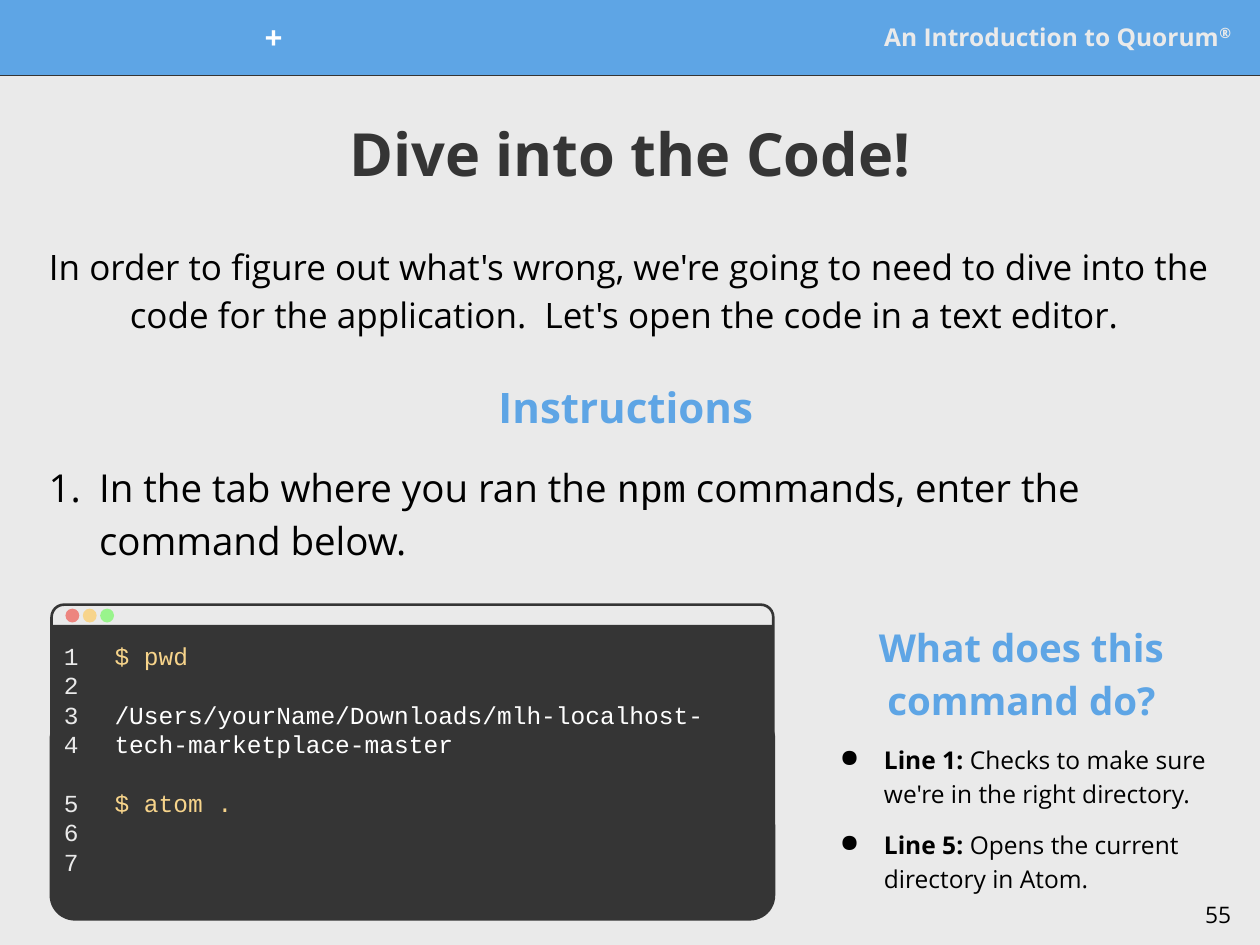
from lxml.etree import SubElement
from pptx import Presentation
from pptx.dml.color import RGBColor as Rgb
from pptx.enum.shapes import MSO_CONNECTOR as Conn, MSO_SHAPE as Form
from pptx.enum.text import MSO_ANCHOR as Anchor, MSO_AUTO_SIZE as Auto, PP_ALIGN as Align
from pptx.oxml.ns import qn
from pptx.util import Cm, Pt

HUES = {
    "page": "EAEAEA", "blue": "5EA5E5", "dark": "353535", "black": "000000",
    "white": "FFFFFF", "red": "ED857F", "gold": "F7D48B", "green": "99F48C",
}
SANS, MONO = "Open Sans", "Courier New"
CODE_GAP = 16.8


def hue(name):
    return Rgb.from_string(HUES[name])


def style(run, size, color, face=SANS, bold=False):
    font = run.font
    font.size, font.name, font.bold = Pt(size), face, bold
    font.color.rgb = hue(color)


def frame(shape, anchor=Anchor.TOP, inset=0.25):
    text = shape.text_frame
    text.word_wrap = True
    text.auto_size = Auto.NONE
    text.vertical_anchor = anchor
    text.margin_left = text.margin_right = Cm(inset)
    text.margin_top = text.margin_bottom = Cm(inset)
    return text


def add_text(slide, box, anchor=Anchor.TOP):
    return frame(slide.shapes.add_textbox(*map(Cm, box)), anchor)


def add_para(text, parts, align=Align.LEFT, lead=1.0, before=0, after=0):
    para = text.paragraphs[0]
    if para.runs:
        para = text.add_paragraph()
    para.alignment, para.line_spacing = align, lead
    para.space_before, para.space_after = Pt(before), Pt(after)
    for words, *look in parts:
        run = para.add_run()
        run.text = words
        style(run, *look)
    return para


def add_mark(para, indent, tag, **attrs):
    props = para._p.get_or_add_pPr()
    props.set("marL", str(Cm(1.27)))
    props.set("indent", str(-Cm(indent)))
    color = SubElement(props, qn("a:buClr"))
    SubElement(color, qn("a:srgbClr")).set("val", HUES["black"])
    SubElement(props, qn(tag), attrs)


def add_form(slide, form, box, fill=None, line=None, width=0.75, curve=None):
    shape = slide.shapes.add_shape(form, *map(Cm, box))
    shape.shadow.inherit = False
    if curve:
        shape.adjustments[0] = curve
    if fill:
        shape.fill.solid()
        shape.fill.fore_color.rgb = hue(fill)
    else:
        shape.fill.background()
    if line:
        shape.line.color.rgb = hue(line)
        shape.line.width = Pt(width)
    else:
        shape.line.fill.background()


def add_band(slide, box):
    x, y, w, h = box
    rule = slide.shapes.add_connector(Conn.STRAIGHT, Cm(x), Cm(y + h), Cm(x + w), Cm(y + h))
    rule.line.color.rgb = hue("dark")
    rule.line.width = Pt(1.5)
    SubElement(rule._element.spPr, qn("a:effectLst"))
    add_form(slide, Form.RECTANGLE, box, "blue", "blue")
    name = add_text(slide, (x + w - 8.66, y + 0.25, 8.33, 0.97), Anchor.MIDDLE)
    look = 14, "page", SANS, True
    para = add_para(name, [("An Introduction to Quorum", *look), ("®", *look)], Align.RIGHT)
    para.runs[1].font._element.set("baseline", "30000")
    plus = add_text(slide, (x + 5.03, y + 0.25, 0.97, 0.97), Anchor.MIDDLE)
    add_para(plus, [("+", 18, "white", SANS, True)], Align.CENTER)


def add_title(slide, box):
    title = slide.shapes.title
    title.left, title.top, title.width, title.height = map(Cm, box)
    text = frame(title, Anchor.MIDDLE, 0.1)
    add_para(text, [("Dive into the Code!", 34, "dark", SANS, True)], Align.CENTER)


def add_intro(slide, box):
    words = (
        "In order to figure out what's wrong, we're going to need to dive into the "
        "code for the application.  Let's open the code in a text editor. "
    )
    add_para(add_text(slide, box, Anchor.MIDDLE), [(words, 20, "black")], Align.CENTER, 1.15)


def add_steps(slide, box):
    x, y, w, h = box
    head = add_text(slide, (x + 9.32, y, 5.79, 1.7))
    add_para(head, [("Instructions", 24, "blue", SANS, True)], lead=1.15)
    step = add_text(slide, (x, y + 1.68, w, h - 1.68))
    para = add_para(step, [
        ("In the tab where you ran the ", 22, "black"),
        ("npm", 22, "black", MONO),
        (" commands, enter the command below.", 22, "black"),
    ], lead=1.15)
    add_mark(para, 1.02, "a:buAutoNum", type="arabicPeriod")


def add_window(slide, box):
    x, y, w, h = box
    add_form(slide, Form.ROUNDED_RECTANGLE, (x, y, w, 4.57), None, "dark", 1.5, 0.055)
    add_form(slide, Form.RECTANGLE, (x, y + 0.41, w, 5.44), "dark")
    add_form(slide, Form.ROUNDED_RECTANGLE, (x, y + h - 4.09, w, 4.09), "dark", "dark", 2.25, 0.115)
    for spot, color in enumerate(("red", "gold", "green")):
        add_form(slide, Form.OVAL, (x + 0.28 + 0.35 * spot, y + 0.08, 0.28, 0.28), color)
    code = add_text(slide, (x + 1.02, y + 0.48, w - 1.14, 5.56))
    path = "/Users/yourName/Downloads/mlh-localhost-tech-marketplace-master"
    lines = ("$ pwd", "gold", 0), (path, "white", CODE_GAP), ("$ atom .", "gold", CODE_GAP)
    for words, color, gap in lines:
        add_para(code, [(words, 14, color, MONO)], before=gap)
    count = add_text(slide, (x, y + 0.48, 1.02, 5.56))
    for num in range(1, 8):
        add_para(count, [(str(num), 14, "page", MONO)], before=CODE_GAP if num == 5 else 0)


def add_notes(slide, box):
    text = add_text(slide, box)
    add_para(text, [("What does this command do?", 22, "blue", SANS, True)], Align.CENTER, 1.15)
    items = (
        ("Line 1:", " Checks to make sure we're in the right directory.", 0),
        ("Line 5:", " Opens the current directory in Atom.", 10),
    )
    for label, words, after in items:
        parts = [(label, 14, "black", SANS, True), (words, 14, "black")]
        para = add_para(text, parts, lead=1.15, before=10, after=after)
        add_mark(para, 0.89, "a:buChar", char="●")


def add_page(slide, box):
    add_para(add_text(slide, box), [("55", 13, "black")], Align.RIGHT)


def main():
    deck = Presentation()
    deck.slide_width, deck.slide_height = Cm(25.4), Cm(19.05)
    slide = deck.slides.add_slide(deck.slide_layouts[5])
    slide.background.fill.solid()
    slide.background.fill.fore_color.rgb = hue("page")
    add_band(slide, (0, 0, 25.4, 1.5))
    add_title(slide, (0.69, 2.18, 24.02, 1.8))
    add_intro(slide, (0.48, 4.01, 24.4, 3.56))
    add_steps(slide, (0.48, 7.29, 24.4, 4.22))
    add_window(slide, (1.04, 12.19, 14.55, 6.33))
    add_notes(slide, (16.3, 12.19, 8.58, 6.53))
    add_page(slide, (23.55, 17.9, 1.52, 1.45))
    deck.save("out.pptx")


if __name__ == "__main__":
    main()
